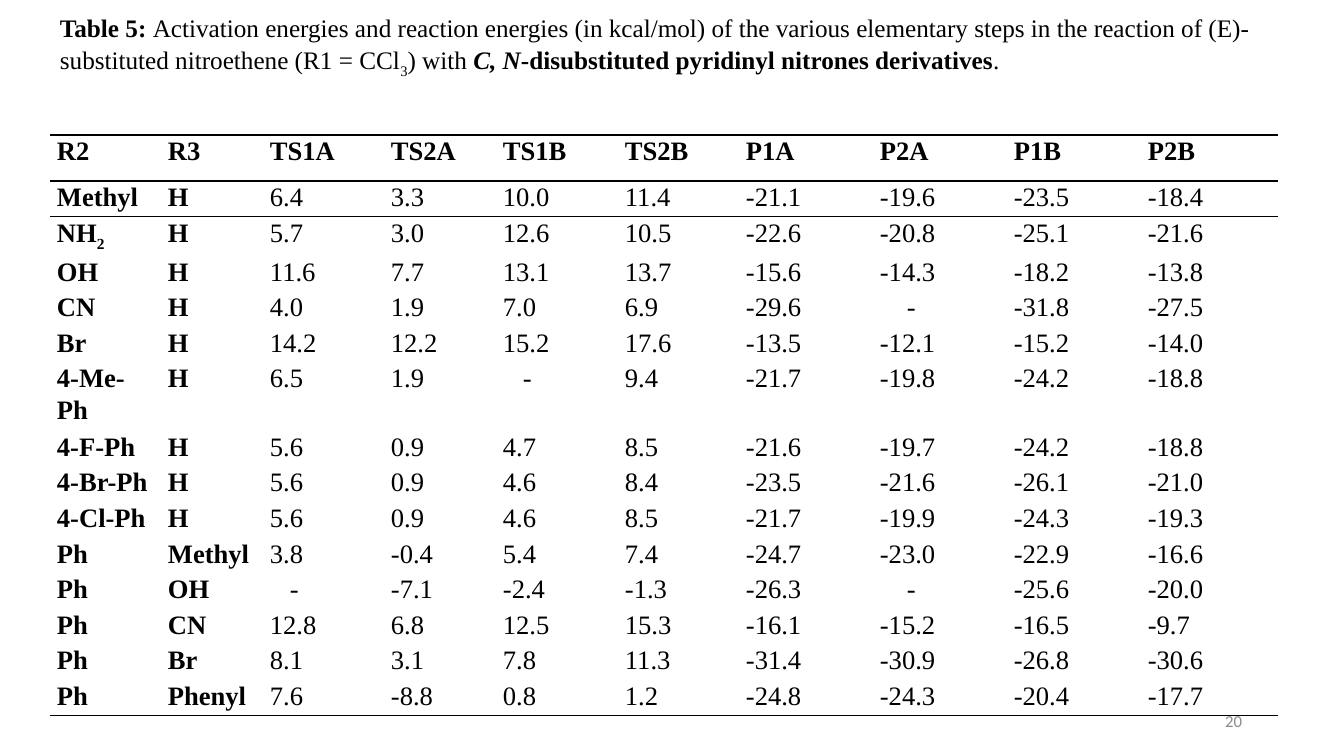
from lxml.etree import SubElement
from pptx import Presentation
from pptx.dml.color import RGBColor
from pptx.enum.text import MSO_ANCHOR, PP_ALIGN
from pptx.oxml.ns import qn
from pptx.util import Emu, Pt

EMU_PER_INCH = 914400
PX_PER_INCH = 100.8
SERIF = "Times New Roman"
BLACK = "000000"
WHITE = "FFFFFF"

CAPTION = [
    ("Table 5: ", {"bold": True}),
    ("Activation energies and reaction energies (in kcal/mol) of the various elementary "
     "steps in the reaction of (E)-substituted nitroethene (R1 = CCl", {}),
    ("3", {"subscript": True}),
    (") with ", {}),
    ("C, N", {"bold": True, "italic": True}),
    ("-disubstituted pyridinyl nitrones derivatives", {"bold": True}),
    (".", {}),
]

HEADER = "R2 R3 TS1A TS2A TS1B TS2B P1A P2A P1B P2B"
ENERGIES = """
Methyl H 6.4 3.3 10.0 11.4 -21.1 -19.6 -23.5 -18.4
NH_2 H 5.7 3.0 12.6 10.5 -22.6 -20.8 -25.1 -21.6
OH H 11.6 7.7 13.1 13.7 -15.6 -14.3 -18.2 -13.8
CN H 4.0 1.9 7.0 6.9 -29.6 - -31.8 -27.5
Br H 14.2 12.2 15.2 17.6 -13.5 -12.1 -15.2 -14.0
4-Me-Ph H 6.5 1.9 - 9.4 -21.7 -19.8 -24.2 -18.8
4-F-Ph H 5.6 0.9 4.7 8.5 -21.6 -19.7 -24.2 -18.8
4-Br-Ph H 5.6 0.9 4.6 8.4 -23.5 -21.6 -26.1 -21.0
4-Cl-Ph H 5.6 0.9 4.6 8.5 -21.7 -19.9 -24.3 -19.3
Ph Methyl 3.8 -0.4 5.4 7.4 -24.7 -23.0 -22.9 -16.6
Ph OH - -7.1 -2.4 -1.3 -26.3 - -25.6 -20.0
Ph CN 12.8 6.8 12.5 15.3 -16.1 -15.2 -16.5 -9.7
Ph Br 8.1 3.1 7.8 11.3 -31.4 -30.9 -26.8 -30.6
Ph Phenyl 7.6 -8.8 0.8 1.2 -24.8 -24.3 -20.4 -17.7
"""
COLUMN_WIDTHS = [111, 102, 121, 112, 122, 121, 134, 134, 134, 137]
HEADER_HEIGHT = 46
WRAPPED_HEIGHT = 64
WRAPPED_ROW = 6
RULED_BOUNDARIES = (0, 1, 2, 15)


def length(px):
    """Turn pixels into EMU."""
    return Emu(round(px * EMU_PER_INCH / PX_PER_INCH))


def color(value):
    """Turn a hex string into a colour."""
    return RGBColor.from_string(value)


def set_values(target, values):
    """Set each named attribute of the target."""
    for name, value in values.items():
        setattr(target, name, value)


def add_run(paragraph, text, size, font=SERIF, fill=BLACK, bold=False, italic=False,
            subscript=False):
    """Append one formatted run to the paragraph."""
    run = paragraph.add_run()
    run.text = text
    set_values(run.font, {"name": font, "size": Pt(size), "bold": bold, "italic": italic})
    run.font.color.rgb = color(fill)
    if subscript:
        run.font._element.set("baseline", "-25000")


def add_text_box(slide, box, frame_values):
    """Place a wrapping text box and return its first paragraph."""
    text_frame = slide.shapes.add_textbox(*map(length, box)).text_frame
    set_values(text_frame, {"word_wrap": True, **frame_values})
    return text_frame.paragraphs[0]


def add_caption(slide, box):
    """Write the table caption from the top of its box."""
    paragraph = add_text_box(slide, box, {"margin_top": 0, "margin_bottom": 0,
                                          "vertical_anchor": MSO_ANCHOR.TOP})
    paragraph.line_spacing = 1.07
    for text, values in CAPTION:
        add_run(paragraph, text, 18, **values)


def add_page_number(slide, box):
    """Write the page number at the right of its box."""
    paragraph = add_text_box(slide, box, {"vertical_anchor": MSO_ANCHOR.MIDDLE})
    paragraph.alignment = PP_ALIGN.RIGHT
    add_run(paragraph, "20", 12, font="Calibri", fill="8C8C8C")


def add_edge(cell, edge, ruled):
    """Draw one edge of the cell as a thin black line or leave it clear."""
    line = SubElement(cell._tc.get_or_add_tcPr(), qn(f"a:{edge}"))
    line.set("w", str(int(Pt(1))))
    if ruled:
        SubElement(SubElement(line, qn("a:solidFill")), qn("a:srgbClr")).set("val", BLACK)
    else:
        SubElement(line, qn("a:noFill"))


def fill_cell(cell, text, row, column):
    """Write one label or energy with the rules of its row."""
    set_values(cell, {"margin_left": length(7), "margin_right": length(7),
                      "margin_top": 0, "margin_bottom": 0,
                      "vertical_anchor": MSO_ANCHOR.TOP})
    edges = {"lnL": False, "lnR": False,
             "lnT": row in RULED_BOUNDARIES, "lnB": row + 1 in RULED_BOUNDARIES}
    for edge, ruled in edges.items():
        add_edge(cell, edge, ruled)
    cell.fill.solid()
    cell.fill.fore_color.rgb = color(WHITE)
    paragraph = cell.text_frame.paragraphs[0]
    set_values(paragraph, {"alignment": PP_ALIGN.JUSTIFY, "line_spacing": 1.07})
    if text == "-":
        indent = length(27 if HEADER.split()[column] == "P2A" else 20)
        paragraph._p.get_or_add_pPr().set("marL", str(int(indent)))
    bold = row == 0 or column < 2
    base, _, subscript = text.partition("_")
    add_run(paragraph, base, 19, bold=bold)
    if subscript:
        add_run(paragraph, subscript, 19, bold=bold, subscript=True)


def add_energy_table(slide, box):
    """Build the energy table, sharing the box height among its plain rows."""
    rows = [line.split() for line in [HEADER, *ENERGIES.strip().splitlines()]]
    frame = slide.shapes.add_table(len(rows), len(COLUMN_WIDTHS), *map(length, box))
    table = frame.table
    set_values(table, {"first_row": False, "horz_banding": False})
    for column, width in zip(table.columns, COLUMN_WIDTHS):
        column.width = length(width)
    plain_height = (box[3] - HEADER_HEIGHT - WRAPPED_HEIGHT) / (len(rows) - 2)
    special_heights = {0: HEADER_HEIGHT, WRAPPED_ROW: WRAPPED_HEIGHT}
    for row, texts in enumerate(rows):
        table.rows[row].height = length(special_heights.get(row, plain_height))
        for column, text in enumerate(texts):
            fill_cell(table.cell(row, column), text, row, column)


def main():
    """Build the slide and save it."""
    presentation = Presentation()
    set_values(presentation, {"slide_width": length(1344), "slide_height": length(756)})
    slide = presentation.slides.add_slide(presentation.slide_layouts[6])
    add_caption(slide, (50, 10, 1228, 88))
    add_page_number(slide, (950, 701, 302, 40))
    add_energy_table(slide, (50, 135, 1228, 573))
    presentation.save("out.pptx")


if __name__ == "__main__":
    main()
